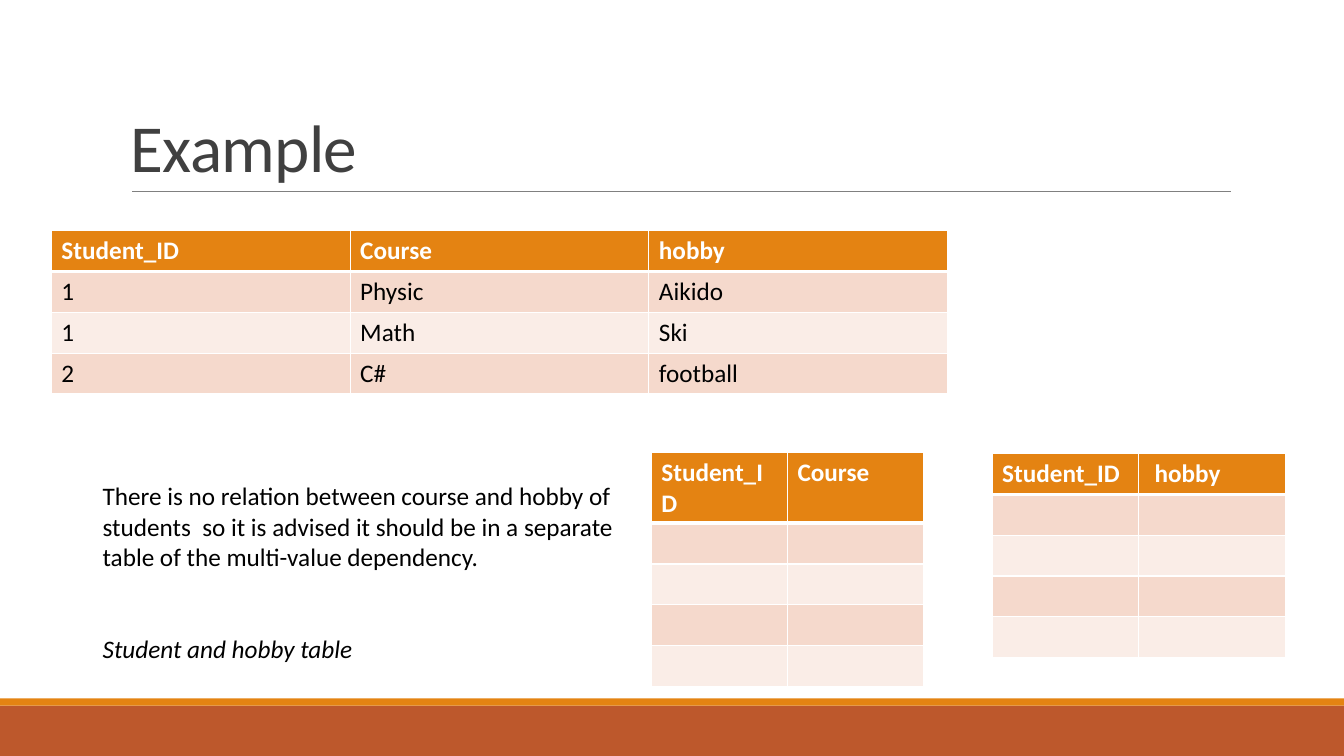
from lxml.etree import SubElement
from pptx import Presentation
from pptx.dml.color import RGBColor
from pptx.enum.shapes import MSO_CONNECTOR as Connector, MSO_SHAPE as Shape
from pptx.enum.text import MSO_ANCHOR as Anchor
from pptx.oxml.ns import qn
from pptx.util import Inches, Pt

ORANGE = "E48312"
RUST = "BD582C"
BANDS = ["F5D9CC", "FAEDE7"]
ROW_HEIGHT = 0.405


def color(value):
    """Turn a hex string into a colour."""
    return RGBColor.from_string(value)


def set_font(paragraph, size=18, fill="000000", bold=False, italic=False):
    """Set the font of a whole paragraph."""
    font = paragraph.font
    font.name = "Calibri"
    font.size = Pt(size)
    font.bold = bold
    font.italic = italic
    font.color.rgb = color(fill)


def add_bar(slide, top, height, fill):
    """Add a full-width footer bar."""
    bar = slide.shapes.add_shape(
        Shape.RECTANGLE, 0, Inches(top), Inches(13.33), Inches(height))
    bar.shadow.inherit = False
    bar.fill.solid()
    bar.fill.fore_color.rgb = color(fill)
    bar.line.fill.background()


def add_rule(slide, left, right, top):
    """Add the thin line under the title."""
    rule = slide.shapes.add_connector(
        Connector.STRAIGHT, Inches(left), Inches(top), Inches(right), Inches(top))
    rule.line.color.rgb = color("808080")
    rule.line.width = Pt(0.5)
    SubElement(rule._element.spPr, qn("a:effectLst"))


def add_text_box(slide, left, top, width, height, anchor=Anchor.TOP):
    """Add a wrapping text box and return its text frame."""
    box = slide.shapes.add_textbox(
        Inches(left), Inches(top), Inches(width), Inches(height))
    frame = box.text_frame
    frame.word_wrap = True
    frame.vertical_anchor = anchor
    return frame


def add_title(slide, text):
    """Add the slide title with tightened letters."""
    frame = add_text_box(slide, 1.2, 0.31, 11, 1.59, Anchor.BOTTOM)
    paragraph = frame.paragraphs[0]
    run = paragraph.add_run()
    run.text = text
    run._r.get_or_add_rPr().set("spc", "-50")
    paragraph.line_spacing = 0.85
    set_font(paragraph, 48, "404040")


def add_explanation(slide, text, caption):
    """Add the explanation with an italic caption set apart below it."""
    frame = add_text_box(slide, 0.92, 4.72, 5.27, 1.92)
    explanation = frame.paragraphs[0]
    explanation.text = text
    set_font(explanation)
    closing = frame.add_paragraph()
    closing.text = caption
    closing.space_before = Pt(44)
    set_font(closing, italic=True)


def set_borders(cell, top, bottom):
    """Give a cell white borders, with the given top and bottom widths."""
    properties = cell._tc.get_or_add_tcPr()
    for side, width in (("L", 1), ("R", 1), ("T", top), ("B", bottom)):
        line = SubElement(properties, qn(f"a:ln{side}"), w=str(Pt(width)))
        fill = SubElement(line, qn("a:solidFill"))
        SubElement(fill, qn("a:srgbClr"), val="FFFFFF")


def add_grid(slide, left, top, width, rows):
    """Add a banded table whose first row is the header."""
    columns = len(rows[0])
    table = slide.shapes.add_table(
        len(rows), columns, Inches(left), Inches(top),
        Inches(width), Inches(ROW_HEIGHT * len(rows))).table
    for column in table.columns:
        column.width = Inches(width / columns)
    for row_index, row in enumerate(rows):
        header = row_index == 0
        for column_index, text in enumerate(row):
            cell = table.cell(row_index, column_index)
            cell.text = text
            set_borders(cell, 3 if row_index == 1 else 1, 3 if header else 1)
            cell.fill.solid()
            cell.fill.fore_color.rgb = color(
                ORANGE if header else BANDS[(row_index - 1) % 2])
            set_font(cell.text_frame.paragraphs[0],
                     fill="FFFFFF" if header else "000000", bold=header)


def main():
    """Build the slide and save it."""
    presentation = Presentation()
    presentation.slide_width = Inches(13.33)
    presentation.slide_height = Inches(7.5)
    slide = presentation.slides.add_slide(presentation.slide_layouts[6])

    add_bar(slide, 7, 0.5, RUST)
    add_bar(slide, 6.93, 0.07, ORANGE)
    add_rule(slide, 1.31, 12.21, 1.9)
    add_title(slide, "Example")
    add_grid(slide, 0.51, 2.29, 8.89, [
        ["Student_ID", "Course", "hobby"],
        ["1", "Physic", "Aikido"],
        ["1", "Math", "Ski"],
        ["2", "C#", "football"],
    ])
    add_explanation(
        slide,
        "There is no relation between course and hobby of students  so it is "
        "advised it should be in a separate table of the multi-value dependency.",
        "Student and hobby table")
    empty_rows = [["", ""]] * 4
    add_grid(slide, 6.46, 4.49, 2.7, [["Student_ID", "Course"]] + empty_rows)
    add_grid(slide, 9.84, 4.5, 2.91, [["Student_ID", " hobby"]] + empty_rows)

    presentation.save("out.pptx")


if __name__ == "__main__":
    main()
